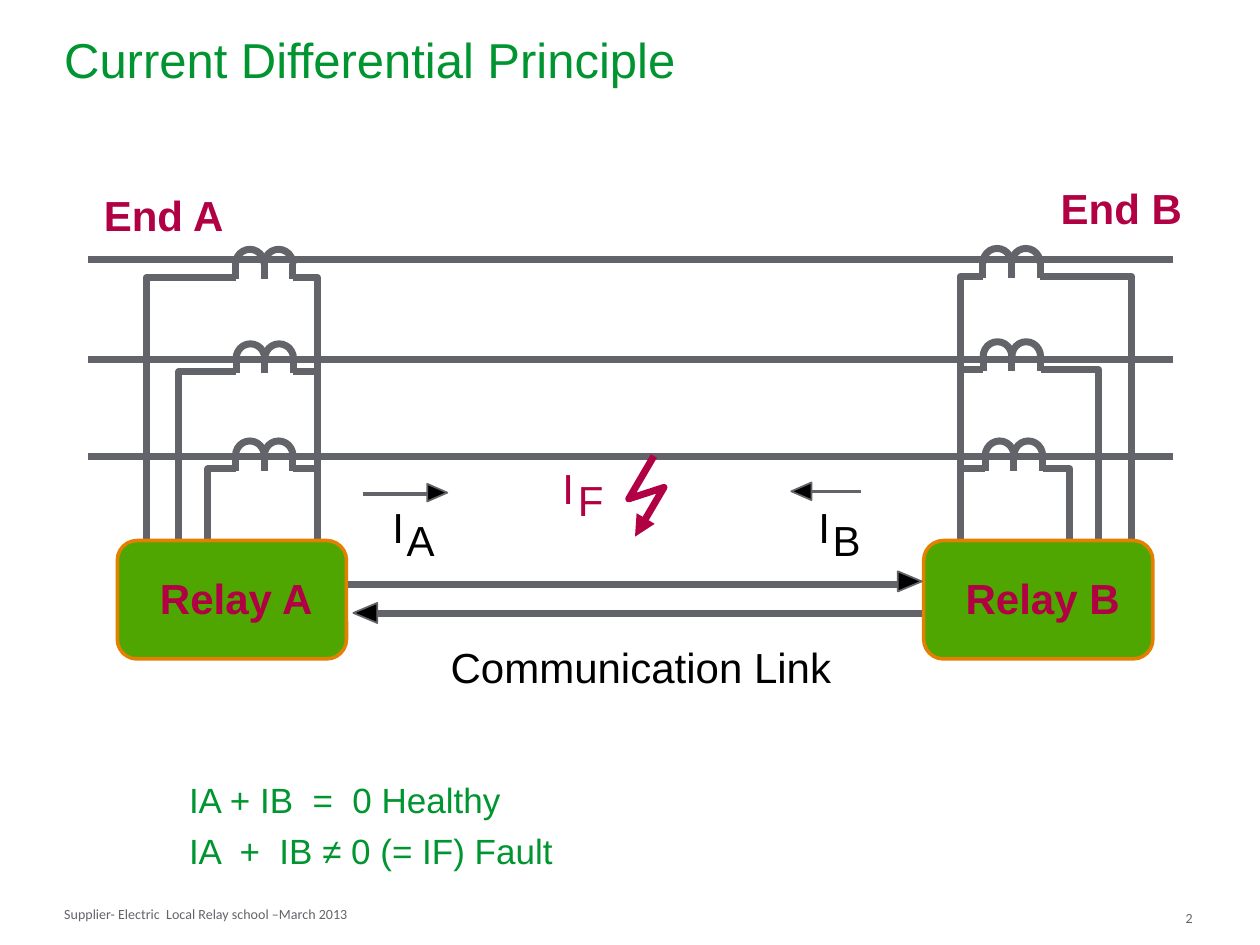
from dataclasses import dataclass
from math import cos, pi, sin

from lxml.etree import SubElement
from pptx import Presentation
from pptx.dml.color import RGBColor
from pptx.enum.shapes import MSO_CONNECTOR, MSO_SHAPE
from pptx.enum.text import MSO_ANCHOR, PP_ALIGN
from pptx.oxml.ns import qn
from pptx.util import Pt


@dataclass(frozen=True)
class Theme:
    """Colours, fonts and sizes of the slide."""
    wire: str = "626469"
    green: str = "009530"
    crimson: str = "B10043"
    black: str = "000000"
    relay_fill: str = "4FA600"
    relay_edge: str = "E47F00"
    font: str = "Arial"
    small_font: str = "Calibri"
    title: int = 28
    label: int = 24
    body: int = 20
    small: int = 8
    thick: int = 4
    medium: int = 2
    thin: int = 1


THEME = Theme()
TITLE = "Current Differential Principle"
FOOTER = "Supplier- Electric  Local Relay school –March 2013"
PAGE_NUMBER = "2"
EQUATIONS = ["IA + IB  =  0 Healthy", "IA  +  IB ≠ 0 (= IF) Fault"]
HEADINGS = [("End A", (39.6, 104.8, 108, 36)), ("End B", (586.8, 100.8, 108, 36))]
LINK = ("Communication Link", (182.2, 362.9, 367.9, 36))
CURRENTS = [("A", 217.4, 283, THEME.black), ("B", 460.8, 283, THEME.black),
            ("F", 314.6, 260.6, THEME.crimson)]
PHASES = [148.3, 205.2, 260.6]
PHASE_ENDS = (50.2, 670.3)
STATIONS = [
    {"relay": "Relay A", "left": 67, "coils": [(134.6, 151), (134.9, 205), (134.6, 260.5)],
     "drops": [83.5, 102.2, 118.8], "bus": 181.4, "mirrored": False},
    {"relay": "Relay B", "left": 527.8, "coils": [(561.6, 150.5), (561.8, 203.8), (563, 260.5)],
     "drops": [646.6, 627.8, 611.3], "bus": 548.6, "mirrored": True},
]
RELAY_TOP, RELAY_SIZE, WIRE_END = 308.9, (131, 67.7), 315
TURN, COIL_HEIGHT, LEAD, WIRE_DROP, ARC_STEPS = 16.4, 8.5, 8.4, 7.5, 12
LINK_LINES = [((193.7, 334.1), (513.4, 334.1)), ((214.6, 350.6), (540.7, 350.6))]
CURRENT_LINES = [((207.4, 282.2), (244.1, 282.2)), ((491.8, 280.8), (463.7, 280.8))]
ARROWS = [((514.1, 325.4, 11.5, 13.7), 90), ((203, 343.4, 11.5, 13.7), 270),
          ((244.8, 275.8, 10.1, 11.5), 90), ((452.9, 275, 10.1, 11.5), 270)]
FAULT = [(373.7, 260.6), (359.3, 285.1), (379.4, 278.6), (362.9, 306.7)]


def paint(shape, fill, line, width):
    """Give a shape its fill and outline and no shadow."""
    shape.shadow.inherit = False
    if fill:
        shape.fill.solid()
        shape.fill.fore_color.rgb = RGBColor.from_string(fill)
    else:
        shape.fill.background()
    shape.line.color.rgb = RGBColor.from_string(line)
    shape.line.width = Pt(width)
    return shape


def draw_line(page, start, end, width=THEME.thick):
    """Draw one straight line."""
    line = page.shapes.add_connector(MSO_CONNECTOR.STRAIGHT, *map(Pt, start + end))
    line.line.color.rgb = RGBColor.from_string(THEME.wire)
    line.line.width = Pt(width)
    SubElement(line._element.spPr, qn("a:effectLst"))


def draw_path(page, points, color=THEME.wire):
    """Draw an open line through the points."""
    corners = [(Pt(x), Pt(y)) for x, y in points]
    builder = page.shapes.build_freeform(*corners[0])
    builder.add_line_segments(corners[1:], close=False)
    return paint(builder.convert_to_shape(), None, color, THEME.thick)


def write(shape, lines, size, color, font=THEME.font, bold=False, align=PP_ALIGN.LEFT, before=0):
    """Put lines of one style into a shape."""
    shape.text_frame.text = "\n".join(lines)
    for para in shape.text_frame.paragraphs:
        para.alignment = align
        para.space_before = Pt(before)
        for span in para.runs:
            span.font.name, span.font.size, span.font.bold = font, Pt(size), bold
            span.font.color.rgb = RGBColor.from_string(color)


def set_insets(frame, left=0, top=0, right=0, bottom=0):
    """Set the inner margins of a text frame."""
    frame.margin_left, frame.margin_top = Pt(left), Pt(top)
    frame.margin_right, frame.margin_bottom = Pt(right), Pt(bottom)


def add_text(page, place, lines, size, color, **style):
    """Add a wrapping text box without insets."""
    box = page.shapes.add_textbox(*map(Pt, place))
    set_insets(box.text_frame)
    box.text_frame.word_wrap = True
    write(box, lines, size, color, **style)
    return box


def add_label(page, text, place, color, bold=False):
    """Add a centred diagram label."""
    box = add_text(page, place, [text], THEME.label, color, bold=bold, align=PP_ALIGN.CENTER)
    set_insets(box.text_frame, top=3.6, bottom=3.6)


def draw_coil(page, left, base):
    """Draw two half turns and three leads."""
    for turn in range(2):
        centre = left + TURN * (turn + 0.5)
        angles = [pi * step / ARC_STEPS for step in range(ARC_STEPS + 1)]
        draw_path(page, [(centre - TURN / 2 * cos(a), base - COIL_HEIGHT * sin(a)) for a in angles])
    for lead in range(3):
        x = left + TURN * lead
        draw_line(page, (x, base), (x, base + LEAD))


def draw_station(page, station):
    """Draw the coils, their wiring and the relay of one line end."""
    bus = station["bus"]
    for row, ((left, base), drop) in enumerate(zip(station["coils"], station["drops"])):
        ends = (left, left + 2 * TURN)
        outer, inner = reversed(ends) if station["mirrored"] else ends
        y = base + WIRE_DROP
        draw_path(page, [(outer, y), (drop, y), (drop, WIRE_END)])
        if row:
            draw_line(page, (inner, y), (bus, y))
        else:
            draw_path(page, [(inner, y), (bus, y), (bus, WIRE_END)])
        draw_coil(page, left, base)
    place = (station["left"], RELAY_TOP, *RELAY_SIZE)
    relay = page.shapes.add_shape(MSO_SHAPE.ROUNDED_RECTANGLE, *map(Pt, place))
    paint(relay, THEME.relay_fill, THEME.relay_edge, THEME.medium)
    set_insets(relay.text_frame, left=5, bottom=2)
    relay.text_frame.vertical_anchor = MSO_ANCHOR.MIDDLE
    write(relay, [station["relay"]], THEME.label, THEME.crimson, bold=True, align=PP_ALIGN.CENTER)


def main():
    """Build the slide and save it."""
    deck = Presentation()
    deck.slide_width, deck.slide_height = Pt(720), Pt(540)
    page = deck.slides.add_slide(deck.slide_layouts[6])

    title = add_text(page, (36.7, 6.5, 652.3, 54.7), [TITLE], THEME.title, THEME.green)
    title.text_frame.vertical_anchor = MSO_ANCHOR.MIDDLE
    for y in PHASES:
        draw_line(page, (PHASE_ENDS[0], y), (PHASE_ENDS[1], y))
    for start, end in LINK_LINES:
        draw_line(page, start, end)
    for station in STATIONS:
        draw_station(page, station)
    for start, end in CURRENT_LINES:
        draw_line(page, start, end, THEME.medium)
    for place, angle in ARROWS:
        arrow = page.shapes.add_shape(MSO_SHAPE.ISOSCELES_TRIANGLE, *map(Pt, place))
        paint(arrow, THEME.black, THEME.wire, THEME.thin).rotation = angle

    fault = draw_path(page, FAULT, THEME.crimson)
    SubElement(fault.line._get_or_add_ln(), qn("a:tailEnd"), type="triangle")

    for text, place in HEADINGS:
        add_label(page, text, place, THEME.crimson, bold=True)
    add_label(page, *LINK, THEME.black)
    for letter, x, y, color in CURRENTS:
        add_label(page, "I", (x, y, 20.2, 36), color)
        add_label(page, letter, (x + 8.2, y + 7.2, 29.5, 36), color)
    add_text(page, (108, 445, 589.7, 51.1), EQUATIONS, THEME.body, THEME.green, before=5)
    for text, place in [(FOOTER, (36.7, 517.7, 260.6, 10)), (PAGE_NUMBER, (677.5, 519.8, 23, 5.8))]:
        add_text(page, place, [text], THEME.small, THEME.wire, font=THEME.small_font)
    deck.save("out.pptx")


if __name__ == "__main__":
    main()
